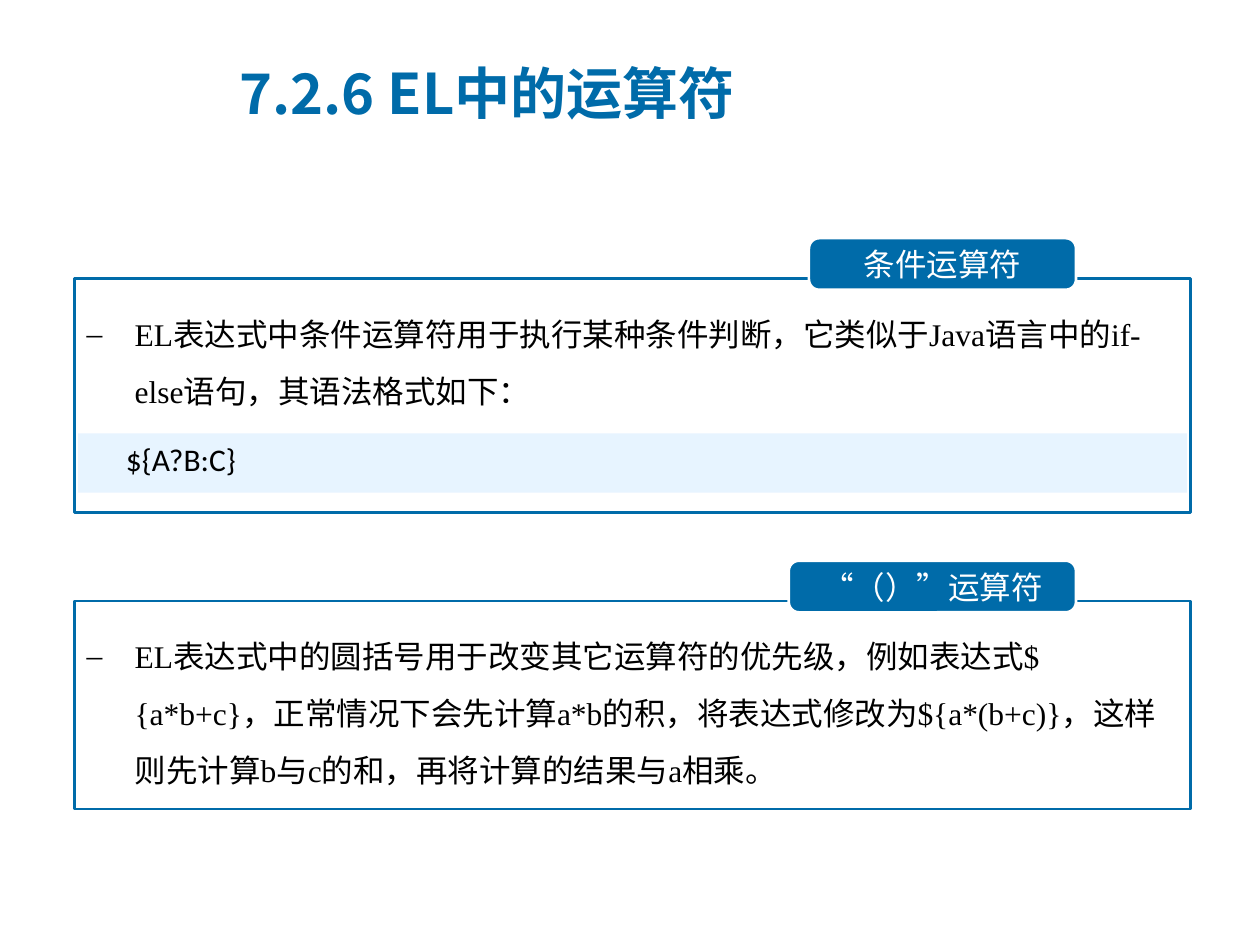
from pptx import Presentation
from pptx.util import Inches, Pt
from pptx.dml.color import RGBColor as RGB
from pptx.enum.shapes import MSO_SHAPE as Shape
from pptx.enum.text import MSO_ANCHOR as Anchor, PP_ALIGN as Align
from lxml.etree import SubElement as Sub
from pptx.oxml.ns import qn

COLORS = {"blue": "006BA9", "pale": "E7F4FF", "white": "FFFFFF", "black": "000000"}
HAN = "Noto Sans CJK SC"


def style(par, size, face, color, bold=False):
    for run in par.runs:
        font = run.font
        font.size = Pt(size)
        font.bold = bold
        font.color.rgb = RGB.from_string(COLORS[color])
        font.name = face
        Sub(run._r.get_or_add_rPr(), qn("a:ea")).set("typeface", HAN)


def block(kind, left, top, width, height, fill=None, line=None):
    shape = slide.shapes.add_shape(
        kind, Inches(left), Inches(top), Inches(width), Inches(height))
    shape.shadow.inherit = False
    if fill:
        shape.fill.solid()
        shape.fill.fore_color.rgb = RGB.from_string(COLORS[fill])
    else:
        shape.fill.background()
    if line:
        shape.line.color.rgb = RGB.from_string(COLORS[line])
        shape.line.width = Pt(1.5)
    else:
        shape.line.fill.background()
    return shape


deck = Presentation()
deck.slide_width, deck.slide_height = Inches(10), Inches(7.5)
slide = deck.slides.add_slide(deck.slide_layouts[5])

title = slide.shapes.title
title.left, title.top = Inches(1.8), Inches(0.43)
title.width, title.height = Inches(6.78), Inches(0.61)
frame = title.text_frame
frame.text = "7.2.6 EL中的运算符"
frame.vertical_anchor = Anchor.MIDDLE
frame.paragraphs[0].alignment = Align.LEFT
style(frame.paragraphs[0], 32, HAN, "blue", True)

LEFT, WIDTH, EDGE = 0.59, 8.86, 8.54
panels = [
    (2.21, 1.86, 2.12, "条件运算符",
     "EL表达式中条件运算符用于执行某种条件判断，它类似于Java语言中的if-else语句，其语法格式如下："),
    (4.77, 1.65, 2.28, "“（）”运算符",
     "EL表达式中的圆括号用于改变其它运算符的优先级，例如表达式${a*b+c}，正常情况下会先计算a*b的积，"
     "将表达式修改为${a*(b+c)}，这样则先计算b与c的和，再将计算的结果与a相乘。"),
]
for top, height, wide, name, text in panels:
    body = slide.shapes.add_textbox(
        Inches(LEFT), Inches(top + 0.09), Inches(WIDTH), Inches(height - 0.25))
    frame = body.text_frame
    frame.word_wrap = True
    frame.text = text
    par = frame.paragraphs[0]
    par.line_spacing = 1.5
    props = par._p.get_or_add_pPr()
    props.set("marL", str(Inches(0.38)))
    props.set("indent", str(-Inches(0.38)))
    Sub(props, qn("a:buFont")).set("typeface", "Times New Roman")
    Sub(props, qn("a:buChar")).set("char", "–")
    style(par, 18, "Times New Roman", "black")

    block(Shape.RECTANGLE, LEFT, top, WIDTH, height, line="blue")

    tag = block(Shape.ROUNDED_RECTANGLE, EDGE - wide, top - 0.32, wide, 0.41, "blue", "white")
    tag.adjustments[0] = 0.2
    frame = tag.text_frame
    frame.margin_left = frame.margin_right = Inches(0.24)
    frame.margin_top = frame.margin_bottom = Inches(0.06)
    frame.vertical_anchor = Anchor.MIDDLE
    frame.text = name
    frame.paragraphs[0].alignment = Align.CENTER
    style(frame.paragraphs[0], 18, HAN, "white")

code = block(Shape.RECTANGLE, 0.62, 3.44, 8.8, 0.47, "pale")
frame = code.text_frame
frame.vertical_anchor = Anchor.TOP
frame.text = "     ${A?B:C}"
frame.paragraphs[0].alignment = Align.LEFT
style(frame.paragraphs[0], 18, "Calibri", "black")

deck.save("out.pptx")
